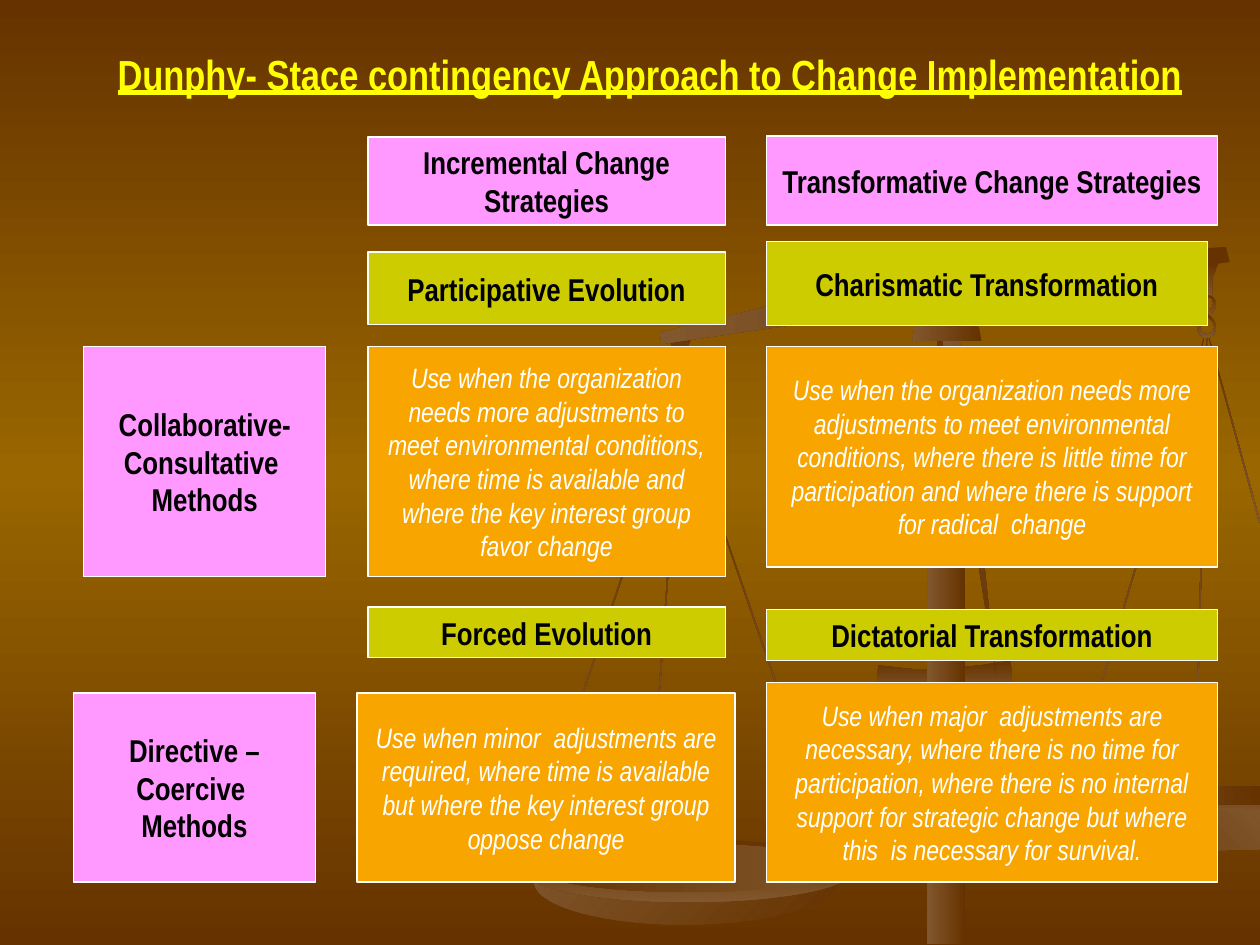
from copy import deepcopy
from dataclasses import dataclass

from pptx import Presentation
from pptx.dml.color import RGBColor
from pptx.enum.shapes import MSO_SHAPE
from pptx.enum.text import MSO_ANCHOR, PP_ALIGN
from pptx.util import Cm, Pt


@dataclass(frozen=True)
class Theme:
    """Colours, font and type sizes of the slide."""
    font: str = "Arial Narrow"
    dark: str = "663300"
    glow: str = "996600"
    bronze: str = "81572D"
    pink: str = "FF99FF"
    olive: str = "CCCC00"
    orange: str = "F8A500"
    white: str = "FFFFFF"
    black: str = "000000"
    yellow: str = "FFFF00"
    title_size: int = 24
    heading_size: int = 18
    body_size: int = 16


@dataclass(frozen=True)
class Box:
    """A region of the slide in centimetres."""
    left: float
    top: float
    width: float
    height: float

    def inner(self, left, top, width, height):
        """Return a box placed relative to this one."""
        return Box(self.left + left, self.top + top, width, height)

    def lengths(self):
        """Return the position and size as lengths."""
        return Cm(self.left), Cm(self.top), Cm(self.width), Cm(self.height)


THEME = Theme()
PAGE = Box(0, 0, 25.4, 19.05)
GRID_COLUMNS = 1000

WIRES = [
    (904, 260, 1, 360, 16.6), (953, 266, 1, 347, 1.5), (979, 264, 1, 153, 344.6),
    (598, 315, 1, 353, 341), (479, 316, 1, 368, 18.6), (527, 325, 1, 331, 4.2),
]
COLLAR = [(697, 528), (724, 531), (739, 531), (757, 530), (778, 528), (802, 524), (804, 544),
          (782, 548), (768, 551), (751, 552), (733, 552), (714, 551), (696, 547)]
RIGHT_PAN_RIM = [(958, 624), (910, 624), (865, 623), (836, 624), (828, 627), (829, 631),
                 (842, 636), (863, 639), (894, 642), (935, 644), (958, 645), (1000, 645),
                 (1000, 626), (980, 626)]
RIGHT_PAN_BOWL = [(831, 633), (835, 642), (842, 649), (852, 657), (865, 663), (882, 668),
                  (903, 672), (928, 674), (957, 675), (1000, 674), (1000, 643), (953, 643),
                  (918, 642), (886, 640), (857, 637)]
RIGHT_PAN_INSIDE = [(956, 623), (886, 623), (862, 623), (843, 626), (834, 628), (843, 631),
                    (863, 634), (893, 637), (933, 638), (1000, 639), (1000, 624), (968, 624)]
LEFT_HOOK = [(549, 268), (531, 270), (536, 280), (536, 294), (544, 294), (544, 279)]
RIGHT_HOOK = [(967, 209), (950, 210), (955, 222), (955, 236), (962, 236), (962, 221)]
UPPER_RING = [(958, 251), (962, 248), (965, 244), (965, 239), (962, 235), (958, 234),
              (955, 235), (952, 239), (951, 241), (953, 246), (956, 249)]
UPPER_HOLE = [(959, 236), (962, 237), (963, 241), (962, 244), (958, 249), (956, 247),
              (954, 244), (954, 239), (956, 237)]
LOWER_RING = [(951, 264), (955, 268), (960, 268), (964, 265), (965, 260), (964, 255),
              (960, 250), (958, 249), (954, 253), (952, 257), (950, 260)]
LOWER_HOLE = [(953, 260), (954, 257), (958, 251), (963, 256), (964, 260), (961, 264),
              (957, 265), (954, 263)]
BEAM = [(973, 196), (976, 208), (525, 273), (524, 264), (737, 212), (759, 209)]
BRACE = [(791, 539), (750, 280), (748, 268), (760, 265), (763, 277)]
CAP = [(752, 247), (763, 248), (772, 253), (777, 260), (779, 271), (724, 271),
       (726, 260), (732, 253), (740, 248)]

CARDS = [
    ("heading", THEME.pink, (5.94, 0.02, 7.2, 1.78), "Incremental Change Strategies"),
    ("heading", THEME.pink, (13.97, 0, 9.1, 1.8), "Transformative Change Strategies"),
    ("heading", THEME.olive, (5.94, 2.34, 7.2, 1.47), "Participative Evolution"),
    ("heading", THEME.olive, (13.97, 2.13, 8.89, 1.69), "Charismatic Transformation"),
    ("heading", THEME.pink, (0.21, 4.24, 4.88, 4.65), "Collaborative- Consultative  Methods"),
    ("heading", THEME.pink, (0, 11.23, 4.88, 3.81), "Directive – Coercive \nMethods"),
    ("body", THEME.orange, (5.94, 4.24, 7.2, 4.65),
     "Use when the organization needs more adjustments to meet environmental conditions, "
     "where time is available and where the key interest group favor change"),
    ("body", THEME.orange, (13.97, 4.24, 9.1, 4.45),
     "Use when the organization needs more adjustments to meet environmental conditions, "
     "where there is little time for participation and where there is support "
     "for radical  change"),
    ("body", THEME.orange, (5.72, 11.23, 7.62, 3.81),
     "Use when minor  adjustments are required, where time is available "
     "but where the key interest group oppose change"),
    ("body", THEME.orange, (13.97, 11.02, 9.1, 4.02),
     "Use when major  adjustments are necessary, where there is no time for participation, "
     "where there is no internal support for strategic change but where "
     "this  is necessary for survival."),
    ("heading", THEME.olive, (5.94, 9.5, 7.2, 1.02), "Forced Evolution"),
    ("heading", THEME.olive, (13.97, 9.55, 9.1, 1.02), "Dictatorial Transformation"),
]


def paint_background(slide):
    """Fill the slide with brown that glows in the middle."""
    fill = slide.background.fill
    fill.gradient()
    fill.gradient_angle = 270
    stop_list = slide.element.xpath(".//p:bg//a:gsLst")[0]
    stop_list.insert(1, deepcopy(stop_list[0]))
    colours = (THEME.dark, THEME.glow, THEME.dark)
    for stop, position, colour in zip(fill.gradient_stops, (0, 0.5, 1), colours):
        stop.position = position
        stop.color.rgb = RGBColor.from_string(colour)


def shade(shape, angle, reverse=False):
    """Give a part of the scale its bronze gradient, angle clockwise."""
    shape.shadow.inherit = False
    shape.line.fill.background()
    shape.fill.gradient()
    shape.fill.gradient_angle = (360 - angle) % 360
    colours = (THEME.bronze, THEME.dark) if reverse else (THEME.dark, THEME.bronze)
    for stop, position, colour in zip(shape.fill.gradient_stops, (0, 1), colours):
        stop.position = position
        stop.color.rgb = RGBColor.from_string(colour)


def add_scale(slide, box):
    """Draw the balance scale on a grid of 1000 columns over the box."""
    unit = box.width / GRID_COLUMNS

    def solid(kind, left, top, width, height, angle, rotation=0, reverse=False):
        """Add one preset part."""
        part = box.inner(left * unit, top * unit, width * unit, height * unit)
        shape = slide.shapes.add_shape(kind, *part.lengths())
        shape.rotation = rotation
        shade(shape, angle, reverse)

    def outline(contours, angle, reverse=False, close=True):
        """Add one part made of one or more contours."""
        builder = slide.shapes.build_freeform(*contours[0][0], scale=float(Cm(unit)))
        for index, contour in enumerate(contours):
            if index:
                builder.move_to(*contour[0])
            builder.add_line_segments(contour[1:], close=close)
        shape = builder.convert_to_shape(Cm(box.left), Cm(box.top))
        shade(shape, angle, reverse)

    for left, top, width, height, rotation in WIRES:
        solid(MSO_SHAPE.RECTANGLE, left, top, width, height, 90, rotation)
    outline([COLLAR], 90)
    outline([RIGHT_PAN_RIM], 90)
    outline([RIGHT_PAN_BOWL], 135, reverse=True)
    outline([RIGHT_PAN_INSIDE], 180)
    for contours in ([LEFT_HOOK], [RIGHT_HOOK], [UPPER_RING, UPPER_HOLE],
                     [LOWER_RING, LOWER_HOLE]):
        outline(contours, 90)
    outline([BEAM], 180)
    solid(MSO_SHAPE.OVAL, 424, 666, 240, 68, 225)
    solid(MSO_SHAPE.OVAL, 416, 666, 261, 50, 90)
    solid(MSO_SHAPE.OVAL, 424, 670, 247, 38, 180, reverse=True)
    solid(MSO_SHAPE.RECTANGLE, 736, 308, 30, 441, 180)
    solid(MSO_SHAPE.RECTANGLE, 744, 268, 13, 42, 90)
    outline([BRACE], 225, close=False)
    outline([CAP], 180)


def add_text_run(paragraph, text, size, colour):
    """Append a run in the slide's font and return its font."""
    run = paragraph.add_run()
    run.text = text
    run.font.name = THEME.font
    run.font.size = Pt(size)
    run.font.color.rgb = RGBColor.from_string(colour)
    return run.font


def add_card(slide, box, role, colour, text):
    """Add a white-edged rectangle with centred heading or body text."""
    shape = slide.shapes.add_shape(MSO_SHAPE.RECTANGLE, *box.lengths())
    shape.shadow.inherit = False
    shape.fill.solid()
    shape.fill.fore_color.rgb = RGBColor.from_string(colour)
    shape.line.color.rgb = RGBColor.from_string(THEME.white)
    shape.line.width = Pt(0.75)
    frame = shape.text_frame
    frame.word_wrap = True
    frame.vertical_anchor = MSO_ANCHOR.MIDDLE
    for index, line in enumerate(text.split("\n")):
        paragraph = frame.add_paragraph() if index else frame.paragraphs[0]
        paragraph.alignment = PP_ALIGN.CENTER
        if role == "heading":
            add_text_run(paragraph, line, THEME.heading_size, THEME.black).bold = True
        else:
            add_text_run(paragraph, line, THEME.body_size, THEME.white).italic = True


def add_strategy_matrix(slide, box):
    """Place the strategy and method cards inside the box."""
    for role, colour, place, text in CARDS:
        add_card(slide, box.inner(*place), role, colour, text)


def add_title(slide, box):
    """Add the underlined title."""
    frame = slide.shapes.add_textbox(*box.lengths()).text_frame
    frame.word_wrap = True
    paragraph = frame.paragraphs[0]
    paragraph.space_before = Pt(15)
    title = "Dunphy- Stace contingency Approach to Change Implementation"
    font = add_text_run(paragraph, title, THEME.title_size, THEME.yellow)
    font.bold = True
    font.underline = True


def main():
    """Build and save the presentation."""
    presentation = Presentation()
    presentation.slide_width, presentation.slide_height = Cm(PAGE.width), Cm(PAGE.height)
    slide = presentation.slides.add_slide(presentation.slide_layouts[6])
    paint_background(slide)
    add_scale(slide, PAGE)
    add_strategy_matrix(slide, Box(1.48, 2.74, 23.07, 15.04))
    add_title(slide, Box(2.12, 0.85, 22.23, 1.27))
    presentation.save("out.pptx")


if __name__ == "__main__":
    main()
